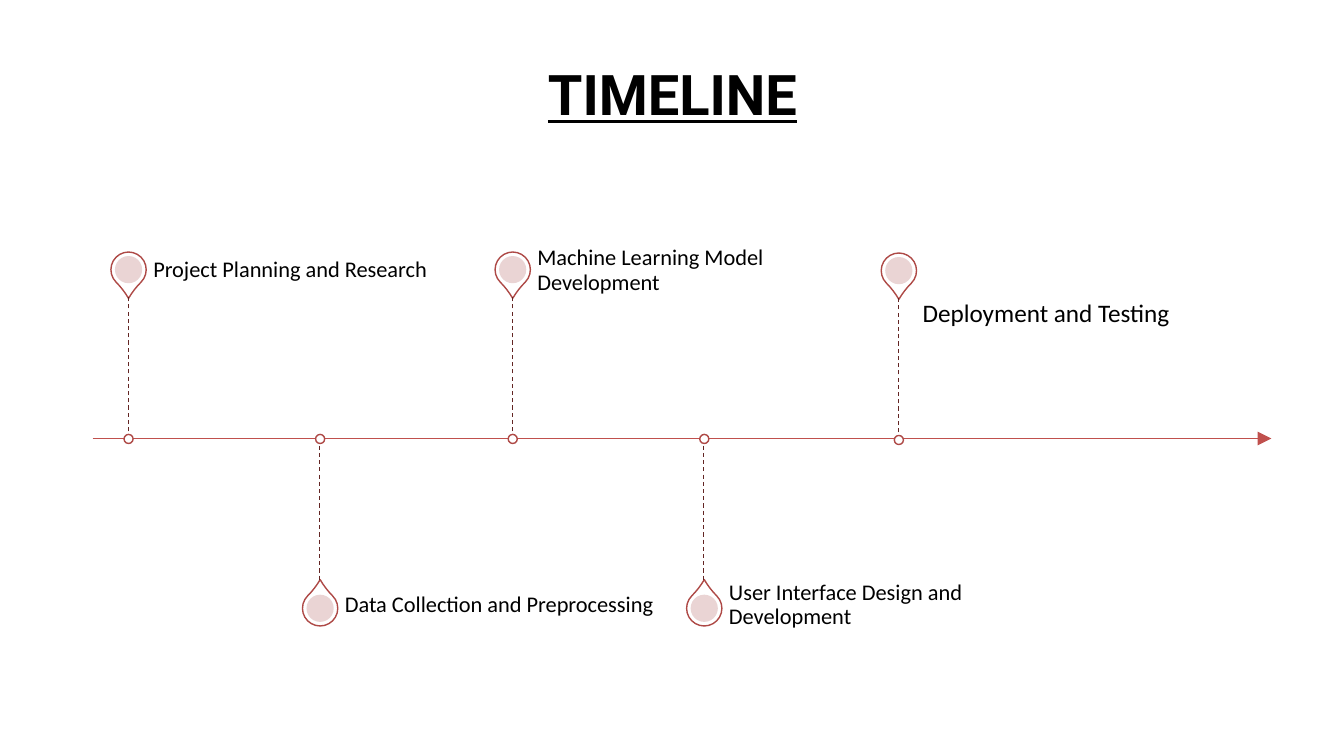
"""Build a project timeline slide with pins above and below an arrow."""
from lxml import etree
from pptx import Presentation, util as u
from pptx.dml.color import RGBColor
from pptx.enum import dml, shapes, text
from pptx.oxml import ns

PX = 9144
COLORS = {"axis": "C0504D", "outline": "AE4946", "stem": "632523",
          "core": "E8D0D0", "paper": "FFFFFF", "ink": "000000"}
AXIS_Y = 435
PIN_SIZE, CORE_SIZE, DOT_SIZE = 35, 27, 9
MILESTONES = [
    (127, True, "Project Planning and Research"),
    (317, False, "Data Collection and Preprocessing"),
    (508, True, "Machine Learning Model Development"),
    (698, False, "User Interface Design and Development"),
]


def px(*lengths):
    """Turn pixel lengths into EMU."""
    return [u.Emu(length * PX) for length in lengths]


def color(name):
    """Look up a named colour."""
    return RGBColor.from_string(COLORS[name])


def add_line(page, start, end, line_color, width):
    """Add a straight line without a shadow."""
    line = page.shapes.add_connector(shapes.MSO_CONNECTOR.STRAIGHT, *px(*start, *end))
    line.line.color.rgb = color(line_color)
    line.line.width = u.Pt(width)
    etree.SubElement(line._element.spPr, ns.qn("a:effectLst"))
    return line


def add_mark(page, kind, center_x, center_y, size, fill, outline=None):
    """Add a filled shape around a centre point."""
    left, top = center_x - size // 2, center_y - size // 2
    mark = page.shapes.add_shape(kind, *px(left, top, size, size))
    mark.shadow.inherit = False
    mark.fill.solid()
    mark.fill.fore_color.rgb = color(fill)
    if outline:
        mark.line.color.rgb = color(outline)
        mark.line.width = u.Pt(1)
    else:
        mark.line.fill.background()
    return mark


def add_label(page, area, words, size, anchor, inset=0):
    """Add a milestone label."""
    box = page.shapes.add_textbox(*px(*area))
    frame = box.text_frame
    frame.word_wrap = True
    frame.vertical_anchor = anchor
    frame.margin_left = frame.margin_right = 0
    frame.margin_top = frame.margin_bottom = px(inset)[0]
    para = frame.paragraphs[0]
    para.text = words
    para.line_spacing = 0.9
    para.font.name = "Calibri"
    para.font.size = u.Pt(size)
    para.font.color.rgb = color("ink")


def add_pin(page, x, above, axis_y=AXIS_Y):
    """Add a pin, its dashed stem and its dot on the axis."""
    side = -1 if above else 1
    pin_y = axis_y + side * 168
    pin = add_mark(page, shapes.MSO_SHAPE.TEAR, x, pin_y, PIN_SIZE, "paper", "outline")
    pin.adjustments[0] = 1.15
    pin.rotation = 135 if above else 315
    core = add_mark(page, shapes.MSO_SHAPE.OVAL, x, pin_y, CORE_SIZE, "core")
    srgb = core.fill._xPr.find(".//" + ns.qn("a:srgbClr"))
    etree.SubElement(srgb, ns.qn("a:alpha"), val="90000")
    stem = add_line(page, (x, axis_y), (x, axis_y + side * 141), "stem", 0.75)
    stem.line.dash_style = dml.MSO_LINE.DASH
    add_mark(page, shapes.MSO_SHAPE.OVAL, x, axis_y, DOT_SIZE, "paper", "outline")


def add_axis(page):
    """Add the timeline arrow."""
    axis = add_line(page, (92, AXIS_Y), (1261, AXIS_Y), "axis", 1)
    etree.SubElement(axis.line._get_or_add_ln(), ns.qn("a:tailEnd"),
                     type="triangle", w="lg", len="lg")


def set_title(page, words):
    """Place and format the title."""
    title = page.shapes.title
    title.left, title.top, title.width, title.height = px(67, 30, 1200, 125)
    title.text_frame.vertical_anchor = text.MSO_ANCHOR.MIDDLE
    para = title.text_frame.paragraphs[0]
    para.text = words
    para.alignment = text.PP_ALIGN.CENTER
    para.font.name = "Roboto"
    para.font.size = u.Pt(40)
    para.font.bold = para.font.underline = True
    para.font.color.rgb = color("ink")


def main():
    """Build and save the deck."""
    deck = Presentation()
    deck.slide_width, deck.slide_height = px(1333, 750)
    page = deck.slides.add_slide(deck.slide_layouts[5])
    set_title(page, "TIMELINE")
    add_axis(page)
    for x, above, words in MILESTONES:
        add_pin(page, x, above)
        label_y = 244 if above else 576
        add_label(page, (x + 25, label_y, 321, 49), words, 16, text.MSO_ANCHOR.MIDDLE)
    add_pin(page, 891, True, AXIS_Y + 1)
    add_label(page, (915, 295, 321, 141), "Deployment and Testing", 18,
              text.MSO_ANCHOR.TOP, inset=3)
    deck.save("out.pptx")


if __name__ == "__main__":
    main()
